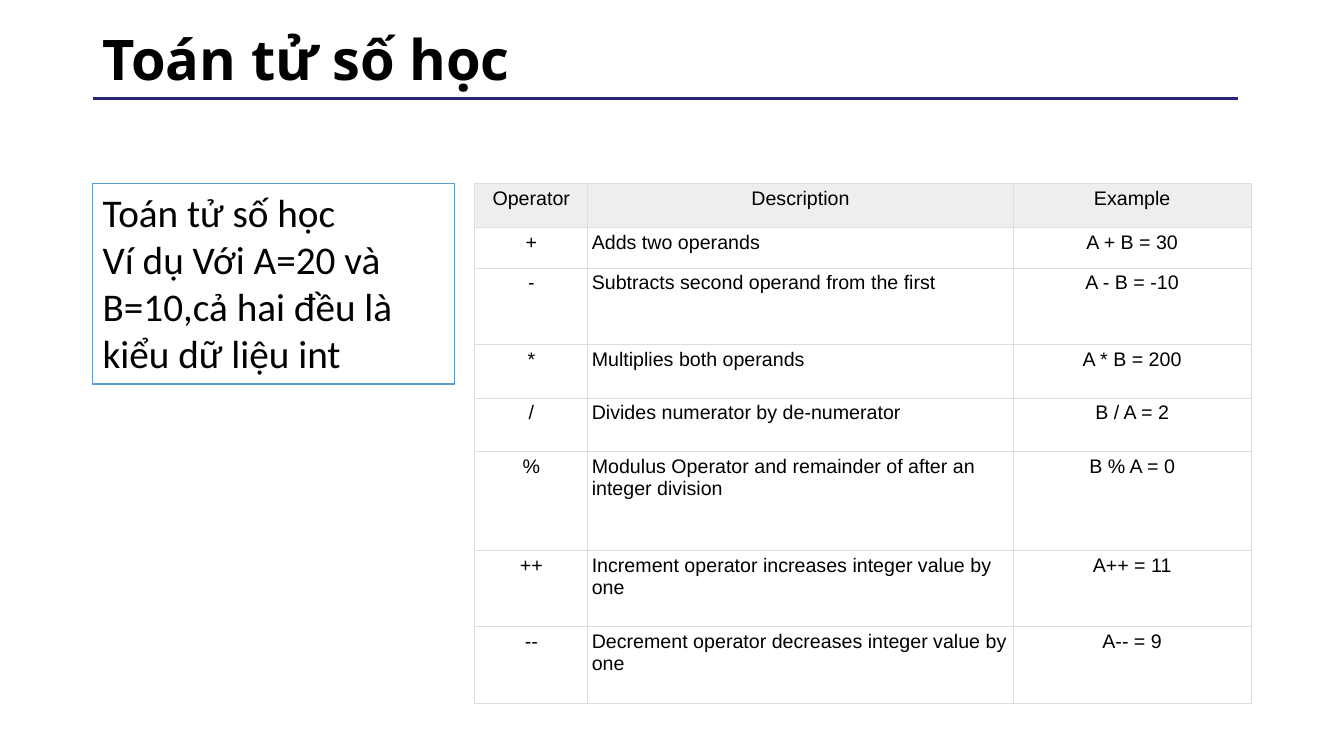
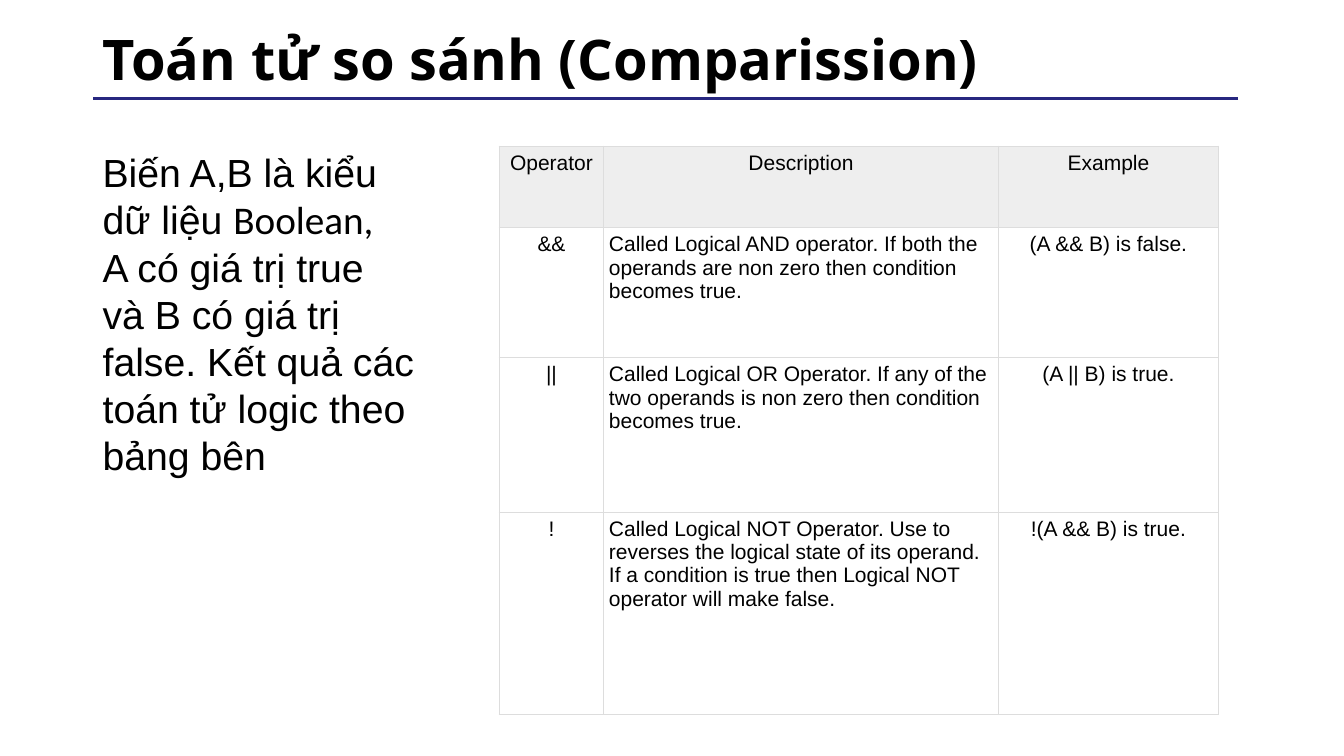
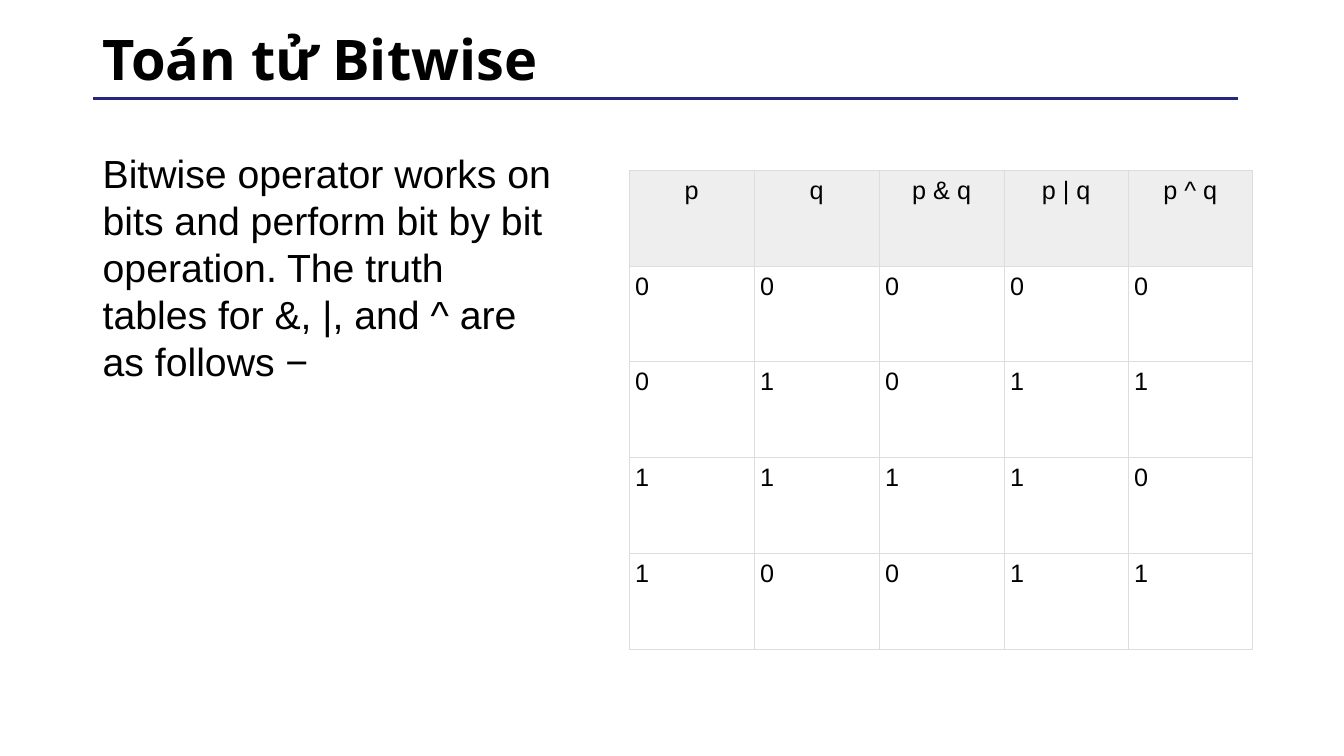
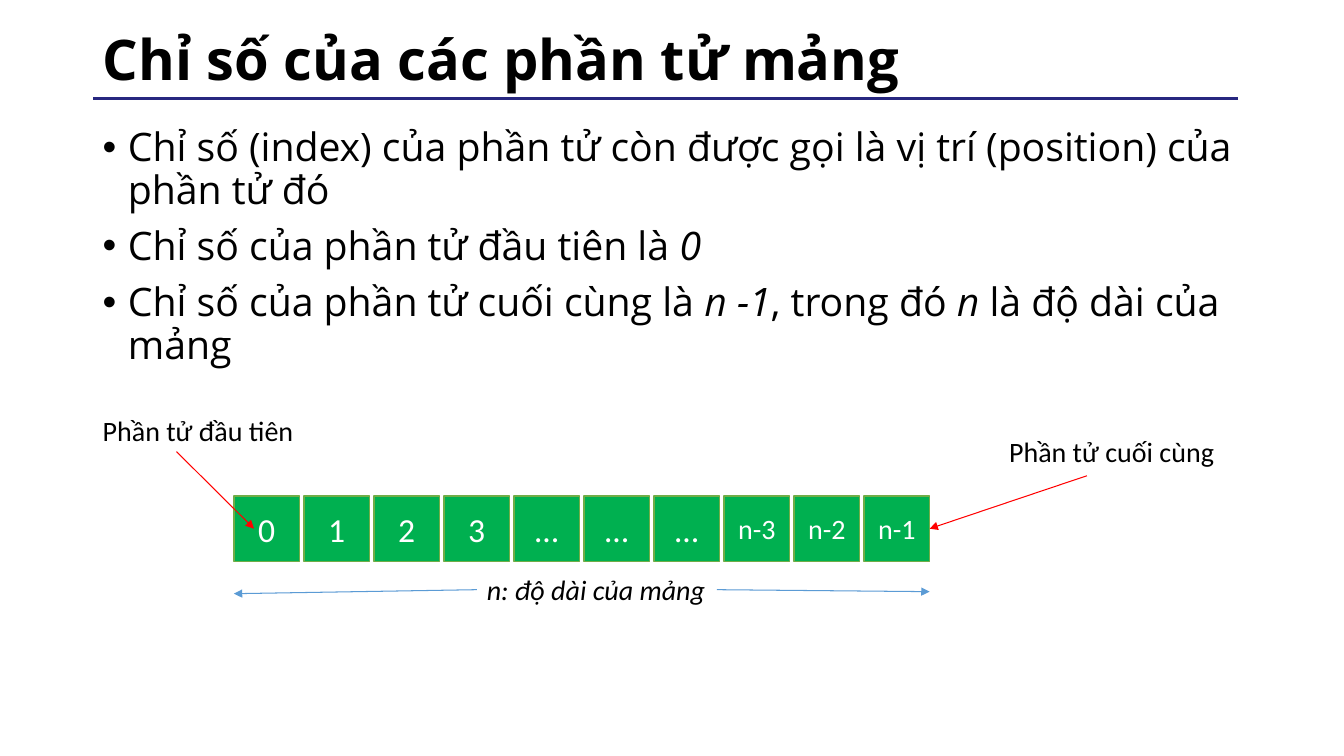
from pptx import Presentation
from pptx import util as u
from pptx.dml.color import RGBColor
from pptx.enum import shapes, text
from pptx.oxml import parse_xml
from pptx.oxml import ns

BLACK = RGBColor(0x00, 0x00, 0x00)
WHITE = RGBColor(0xFF, 0xFF, 0xFF)
NAVY = RGBColor(0x27, 0x27, 0x80)
BLUE = RGBColor(0x5B, 0x9B, 0xD5)
GREEN = RGBColor(0x00, 0xB0, 0x50)
LEAF = RGBColor(0x70, 0xAD, 0x47)
RED = RGBColor(0xFF, 0x00, 0x00)
GREY = RGBColor(0xEE, 0xEE, 0xEE)
BORDER = RGBColor(0xDD, 0xDD, 0xDD)

HEADING = {"name": "Open Sans", "size": 40, "bold": True}
BULLET = {"name": "Open Sans", "size": 28}
SANS = {"name": "Arial", "size": 28}
NOTE = {"name": "Calibri", "size": 28}
CAPTION = {"name": "Calibri", "size": 20}
ITALIC = {"italic": True}

CENTER = text.PP_ALIGN.CENTER
LEFT = text.PP_ALIGN.LEFT
MIDDLE = text.MSO_ANCHOR.MIDDLE
TOP = text.MSO_ANCHOR.TOP
GROW = text.MSO_AUTO_SIZE.SHAPE_TO_FIT_TEXT
FIXED = text.MSO_AUTO_SIZE.NONE

OPERATORS = ["Operator", "Description", "Example"]
ARITHMETIC = [
    OPERATORS,
    ["+", "Adds two operands", "A + B = 30"],
    ["-", "Subtracts second operand from the first", "A - B = -10"],
    ["*", "Multiplies both operands", "A * B = 200"],
    ["/", "Divides numerator by de-numerator", "B / A = 2"],
    ["%", "Modulus Operator and remainder of after an integer division", "B % A = 0"],
    ["++", "Increment operator increases integer value by one", "A++ = 11"],
    ["--", "Decrement operator decreases integer value by one", "A-- = 9"],
]
LOGICAL = [
    OPERATORS,
    ["&&", "Called Logical AND operator. If both the operands are non zero "
     "then condition becomes true.", "(A && B) is false."],
    ["||", "Called Logical OR Operator. If any of the two operands is non zero "
     "then condition becomes true.", "(A || B) is true."],
    ["!", "Called Logical NOT Operator. Use to reverses the logical state of its operand. "
     "If a condition is true then Logical NOT operator will make false.",
     "!(A && B) is true."],
]
TRUTH = [["p", "q", "p & q", "p | q", "p ^ q"],
         list("00000"), list("01011"), list("11110"), list("10011")]


def inches(values):
    return [u.Inches(value) for value in values]


def write(frame, lines, style, color=BLACK, align=LEFT, anchor=TOP, size_mode=FIXED):
    settings = {"word_wrap": True, "auto_size": size_mode, "vertical_anchor": anchor}
    for name, value in settings.items():
        setattr(frame, name, value)
    for index, line in enumerate(lines):
        para = frame.paragraphs[0] if index == 0 else frame.add_paragraph()
        para.alignment = align
        for wording, changes in [(line, {})] if isinstance(line, str) else line:
            span = para.add_run()
            span.text = wording
            look = {"bold": False, "italic": False, **style, **changes}
            look["size"] = u.Pt(look["size"])
            for name, value in look.items():
                setattr(span.font, name, value)
            span.font.color.rgb = color


def add_text(parent, box, lines, style, **options):
    label = parent.add_textbox(*inches(box))
    write(label.text_frame, lines, style, **options)
    return label


def add_box(parent, box, fill, outline, lines, style, **options):
    shape = parent.add_shape(shapes.MSO_SHAPE.RECTANGLE, *inches(box))
    shape.shadow.inherit = False
    shape.fill.solid()
    shape.fill.fore_color.rgb = fill
    shape.line.color.rgb = outline
    shape.line.width = u.Pt(1)
    write(shape.text_frame, lines, style, **options)
    return shape


def add_line(parent, start, end, color, width=0.75, arrow=True):
    line = parent.add_connector(shapes.MSO_CONNECTOR.STRAIGHT, *inches(start + end))
    line.line.color.rgb = color
    line.line.width = u.Pt(width)
    if arrow:
        line.line._get_or_add_ln().append(
            parse_xml(f'<a:tailEnd {ns.nsdecls("a")} type="triangle"/>'))
    line._element.spPr.append(parse_xml(f'<a:effectLst {ns.nsdecls("a")}/>'))
    return line


def add_page(deck, heading):
    page = deck.slides.add_slide(deck.slide_layouts[5])
    add_line(page.shapes, (12.28, 0.98), (0.92, 0.98), NAVY, 2, arrow=False)
    title = page.shapes.title
    title.left, title.top, title.width, title.height = inches((0.92, 0.17, 11.5, 0.89))
    write(title.text_frame, [heading], HEADING, anchor=MIDDLE)
    title.text_frame.paragraphs[0].line_spacing = 0.9
    return page


def add_borders(cell):
    for side in ("lnL", "lnR", "lnT", "lnB"):
        cell._tc.get_or_add_tcPr().append(parse_xml(
            f'<a:{side} {ns.nsdecls("a")} w="{u.Pt(0.75)}"><a:solidFill>'
            f'<a:srgbClr val="{BORDER}"/></a:solidFill></a:{side}>'))


def add_grid(page, corner, widths, heights, rows, size, inset, centered=()):
    frame = page.shapes.add_table(len(rows), len(widths),
                                  *inches((*corner, sum(widths), sum(heights))))
    table = frame.table
    table.first_row = table.horz_banding = False
    for column, width in zip(table.columns, widths):
        column.width = u.Inches(width)
    for row, height in zip(table.rows, heights):
        row.height = u.Inches(height)
    for r, row in enumerate(rows):
        for c, wording in enumerate(row):
            cell = table.cell(r, c)
            for side in ("left", "right", "top", "bottom"):
                setattr(cell, f"margin_{side}", u.Inches(inset))
            add_borders(cell)
            if r == 0:
                cell.fill.solid()
                cell.fill.fore_color.rgb = GREY
            else:
                cell.fill.background()
            para = cell.text_frame.paragraphs[0]
            para.alignment = CENTER if r == 0 or c in centered else LEFT
            span = para.add_run()
            span.text = wording
            for name, value in {"name": "Arial", "size": u.Pt(size), "bold": False}.items():
                setattr(span.font, name, value)
            span.font.color.rgb = BLACK


def add_bullets(page, box, lines):
    body = add_text(page.shapes, box, lines, BULLET)
    for index, para in enumerate(body.text_frame.paragraphs):
        para.line_spacing = 0.9
        para.space_before = u.Pt(10 if index else 0)
        props = para._p.get_or_add_pPr()
        props.set("marL", str(u.Inches(0.25)))
        props.set("indent", str(u.Inches(-0.25)))
        props.append(parse_xml(f'<a:buFont {ns.nsdecls("a")} typeface="Arial"/>'))
        props.append(parse_xml(f'<a:buChar {ns.nsdecls("a")} char="•"/>'))


def add_array(page, left, top):
    side, total = 0.65, 6.9
    names = ["0", "1", "2", "3", "…", "…", "…", "n-3", "n-2", "n-1"]
    pitch = (total - side) / (len(names) - 1)
    right, middle = left + total, top + side / 2
    group = page.shapes.add_group_shape().shapes
    for index, name in enumerate(names):
        size = 20 if name.startswith("n") else 24
        last = add_box(group, (left + index * pitch, top, side, side), GREEN, LEAF, [name],
                       {"name": "Calibri", "size": size}, color=WHITE,
                       align=CENTER, anchor=MIDDLE)
    add_text(group, (left - 1.4, top - 0.87, 2.11, 0.44), ["Phần tử đầu tiên"],
             CAPTION, size_mode=GROW)
    add_text(group, (right + 0.69, top - 0.66, 2.25, 0.44), ["Phần tử cuối cùng"],
             CAPTION, size_mode=GROW)
    length = add_text(group, (left + 2.41, top + 0.71, 2.38, 0.44), ["n: độ dài của mảng"],
                      {**CAPTION, **ITALIC}, size_mode=GROW)
    level = top + 0.93
    for site, start, end in ((3, left + 4.79, (right, level + 0.02)),
                             (1, left + 2.41, (left, level + 0.04))):
        add_line(group, (start, level), end, BLUE).begin_connect(length, site)
    add_line(group, (left - 0.57, top - 0.44), (left + 0.2, middle), RED)
    add_line(group, (right + 1.56, top - 0.2), (right, middle), RED).end_connect(last, 3)


def arithmetic_page(deck):
    page = add_page(deck, "Toán tử số học")
    add_grid(page, (4.71, 1.82), (1.12, 4.22, 2.36),
             (0.44, 0.4, 0.76, 0.53, 0.53, 0.98, 0.76, 0.76), ARITHMETIC, 14, 0.04, (0, 2))
    add_box(page.shapes, (0.92, 1.82, 3.59, 1.99), WHITE, BLUE,
            ["Toán tử số học", "Ví dụ Với A=20 và B=10,cả hai đều là kiểu dữ liệu int"],
            NOTE, size_mode=GROW)


def logical_page(deck):
    page = add_page(deck, "Toán tử so sánh (Comparission)")
    add_grid(page, (4.95, 1.45), (1.04, 3.91, 2.19), (0.81, 1.29, 1.53, 2.01),
             LOGICAL, 15, 0.05, (0, 2))
    add_text(page.shapes, (0.92, 1.41, 3.3, 3.4),
             [[("Biến A,B là kiểu dữ liệu ", {}), ("Boolean,", NOTE)],
              "A có giá trị true và B có giá trị false. "
              "Kết quả các toán tử logic theo bảng bên"],
             SANS, anchor=MIDDLE, size_mode=GROW)


def bitwise_page(deck):
    page = add_page(deck, "Toán tử Bitwise")
    add_grid(page, (6.24, 1.69), [1.24] * 3 + [1.23] * 2, [0.95] * 5, TRUTH, 18, 0.06)
    add_text(page.shapes, (0.92, 1.42, 4.65, 2.46),
             ["Bitwise operator works on bits and perform bit by bit operation. "
              "The truth tables for &, |, and ^ are as follows −"],
             SANS, anchor=MIDDLE, size_mode=GROW)


def index_page(deck):
    page = add_page(deck, "Chỉ số của các phần tử mảng")
    add_bullets(page, (0.92, 1.22, 11.5, 5.53), [
        "Chỉ số (index) của phần tử còn được gọi là vị trí (position) của phần tử đó",
        [("Chỉ số của phần tử đầu tiên là ", {}), ("0", ITALIC)],
        [("Chỉ số của phần tử cuối cùng là ", {}), ("n -1", ITALIC),
         (", trong đó ", {}), ("n", ITALIC), (" là độ dài của mảng", {})],
    ])
    add_array(page, 2.32, 4.92)


def main():
    deck = Presentation()
    deck.slide_width, deck.slide_height = inches((13.33, 7.5))
    for build in (arithmetic_page, logical_page, bitwise_page, index_page):
        build(deck)
    deck.save("out.pptx")


if __name__ == "__main__":
    main()
